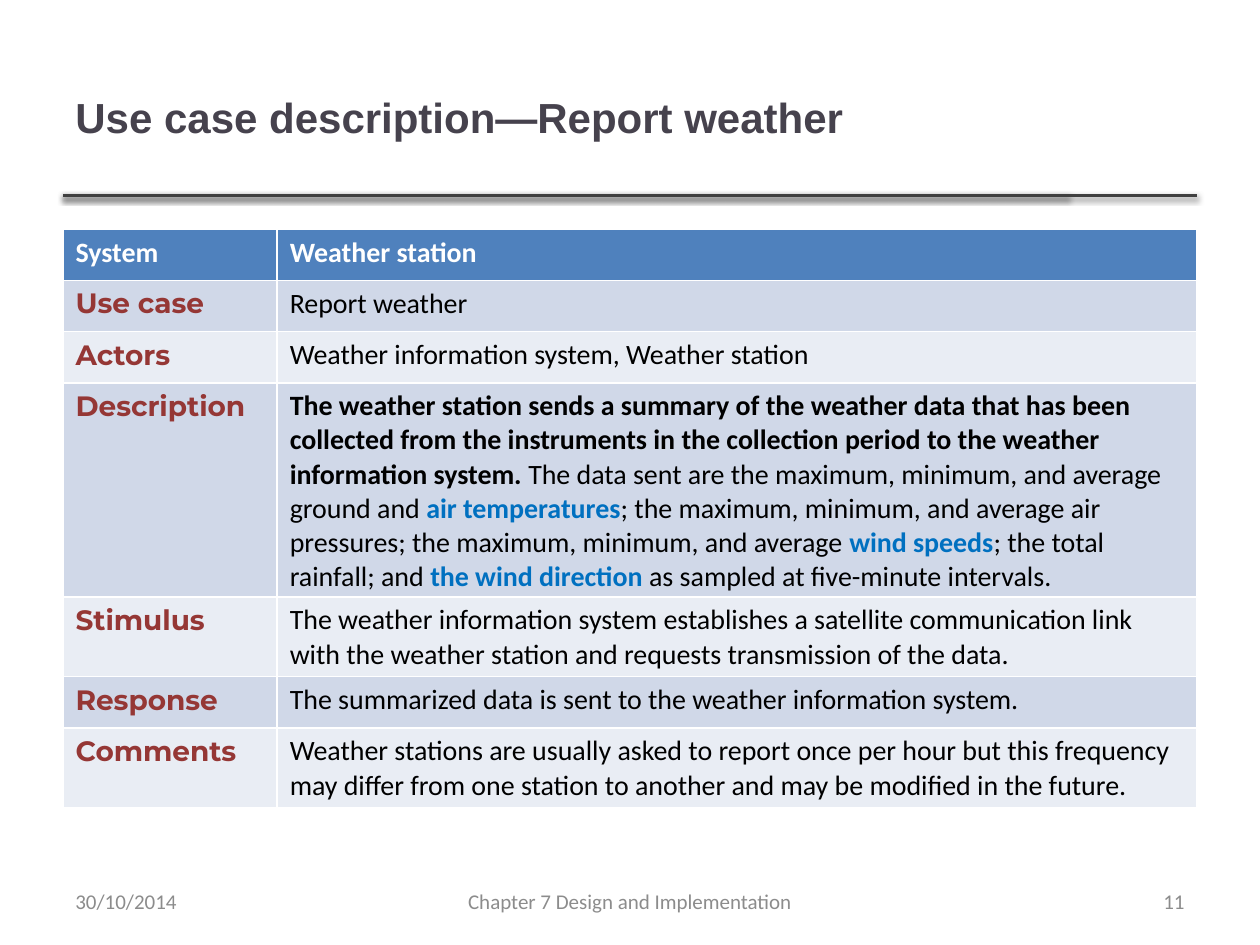
import pptx
import pptx.util
import pptx.dml.color
import pptx.enum.shapes
import pptx.enum.text
import lxml.etree

COLORS = {
    "title": "46424D", "rule": "404040", "footer": "8C8C8C",
    "header": "4F81BD", "band_dark": "D0D8E8", "band_light": "E9EDF4",
    "label": "953735", "accent": "0070C0", "text": "000000",
    "white": "FFFFFF",
}

# The slide is a grid of 100 columns by 75 rows of square units
UNIT = pptx.util.Inches(0.1)
COLUMNS, ROWS = 100, 75
MARGIN = 5
CONTENT_WIDTH = COLUMNS - 2 * MARGIN

ALIGN = pptx.enum.text.PP_ALIGN
FORMATS = {
    "title": {"name": "Arial", "size": 24, "bold": True, "color": "title"},
    "header": {"name": "Calibri", "size": 16, "bold": True, "color": "white"},
    "label": {"name": "Montserrat", "size": 16, "bold": True, "color": "label"},
    "plain": {"name": "Calibri", "size": 16, "bold": False, "color": "text"},
    "strong": {"name": "Calibri", "size": 16, "bold": True, "color": "text"},
    "accent": {"name": "Calibri", "size": 16, "bold": True, "color": "accent"},
    "footer": {"name": "Calibri", "size": 12, "bold": False, "color": "footer"},
}

USE_CASE = [
    ("System", [("Weather station", "header")]),
    ("Use case", [("Report weather", "plain")]),
    ("Actors", [("Weather information system, Weather station", "plain")]),
    ("Description", [
        ("The weather station sends a summary of the weather data that has been "
         "collected from the instruments in the collection period to the weather "
         "information system. ", "strong"),
        ("The data sent are the maximum, minimum, and average ground and ", "plain"),
        ("air temperatures", "accent"),
        ("; the maximum, minimum, and average air pressures; the maximum, "
         "minimum, and average ", "plain"),
        ("wind speeds", "accent"),
        ("; the total rainfall; and ", "plain"),
        ("the wind direction ", "accent"),
        ("as sampled at five-minute intervals.", "plain"),
    ]),
    ("Stimulus", [("The weather information system establishes a satellite "
                   "communication link with the weather station and requests "
                   "transmission of the data.", "plain")]),
    ("Response", [("The summarized data is sent to the weather information "
                   "system.", "plain")]),
    ("Comments", [("Weather stations are usually asked to report once per hour "
                   "but this frequency may differ from one station to another "
                   "and may be modified in the future.", "plain")]),
]


def units(*values):
    return [round(value * UNIT) for value in values]


def rgb(name):
    return pptx.dml.color.RGBColor.from_string(COLORS[name])


def write_runs(paragraph, runs):
    for text, style in runs:
        run = paragraph.add_run()
        run.text = text
        values = dict(FORMATS[style])
        run.font.color.rgb = rgb(values.pop("color"))
        values["size"] = pptx.util.Pt(values["size"])
        for attribute, value in values.items():
            setattr(run.font, attribute, value)


def add_text(slide, box, text, style, alignment=ALIGN.LEFT):
    frame = slide.shapes.add_textbox(*units(*box)).text_frame
    frame.word_wrap = True
    frame.vertical_anchor = pptx.enum.text.MSO_ANCHOR.MIDDLE
    frame.paragraphs[0].alignment = alignment
    write_runs(frame.paragraphs[0], [(text, style)])


def add_rule(slide, left, top, width):
    line = slide.shapes.add_connector(
        pptx.enum.shapes.MSO_CONNECTOR.STRAIGHT,
        *units(left, top, left + width, top))
    line.line.color.rgb = rgb("rule")
    line.line.width = pptx.util.Pt(2)
    # Soft shadow straight below the line
    namespace = "{http://schemas.openxmlformats.org/drawingml/2006/main}"
    parent = line._element.spPr
    for tag, attributes in [
        ("effectLst", {}),
        ("outerShdw", {"blurRad": str(pptx.util.Pt(3.1)),
                       "dist": str(pptx.util.Pt(1.6)),
                       "dir": "5400000", "rotWithShape": "0"}),
        ("srgbClr", {"val": COLORS["text"]}),
        ("alpha", {"val": "38000"}),
    ]:
        parent = lxml.etree.SubElement(parent, namespace + tag, attributes)


def add_heading(slide, box):
    left, top, width, height = box
    # Two overlapping rules, the shorter one as wide as the title
    for rule_width in (width, CONTENT_WIDTH):
        add_rule(slide, left, top + height, rule_width)
    add_text(slide, box, "Use case description—Report weather", "title")


def add_use_case_table(slide, box):
    left, top, width, row_height = box
    table = slide.shapes.add_table(
        len(USE_CASE), 2,
        *units(left, top, width, row_height * len(USE_CASE))).table
    label_width = 17
    for column, size in zip(table.columns, units(label_width, width - label_width)):
        column.width = size
    for index, (label, runs) in enumerate(USE_CASE):
        if index == 0:
            fill, label_style = "header", "header"
        else:
            fill = "band_dark" if index % 2 else "band_light"
            label_style = "label"
        for cell, content in zip(table.rows[index].cells,
                                 ([(label, label_style)], runs)):
            cell.fill.solid()
            cell.fill.fore_color.rgb = rgb(fill)
            write_runs(cell.text_frame.paragraphs[0], content)


def add_footer(slide, box):
    left, top, width, height = box
    side, middle = 23.3, 31.7
    for offset, part_width, text, alignment in [
        (0, side, "30/10/2014", ALIGN.LEFT),
        ((width - middle) / 2, middle, "Chapter 7 Design and Implementation",
         ALIGN.CENTER),
        (width - side, side, "11", ALIGN.RIGHT),
    ]:
        add_text(slide, (left + offset, top, part_width, height),
                 text, "footer", alignment)


def main():
    presentation = pptx.Presentation()
    presentation.slide_width, presentation.slide_height = units(COLUMNS, ROWS)
    slide = presentation.slides.add_slide(presentation.slide_layouts[6])
    add_heading(slide, (MARGIN, 3, 79.8, 12.5))
    add_use_case_table(slide, (MARGIN, 18.2, CONTENT_WIDTH, 4.06))
    add_footer(slide, (MARGIN, 69.5, CONTENT_WIDTH, 4))
    presentation.save("out.pptx")


if __name__ == "__main__":
    main()
